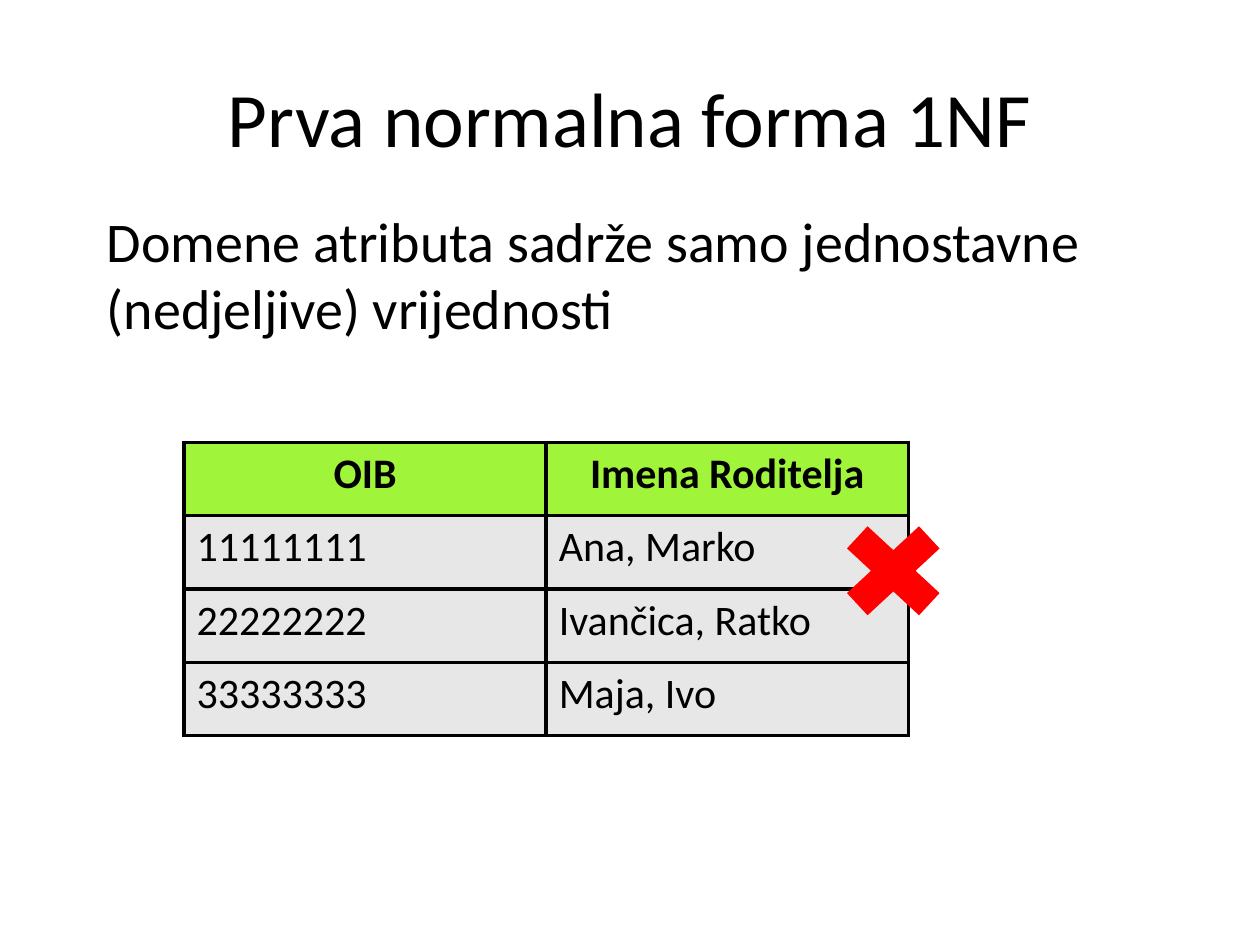
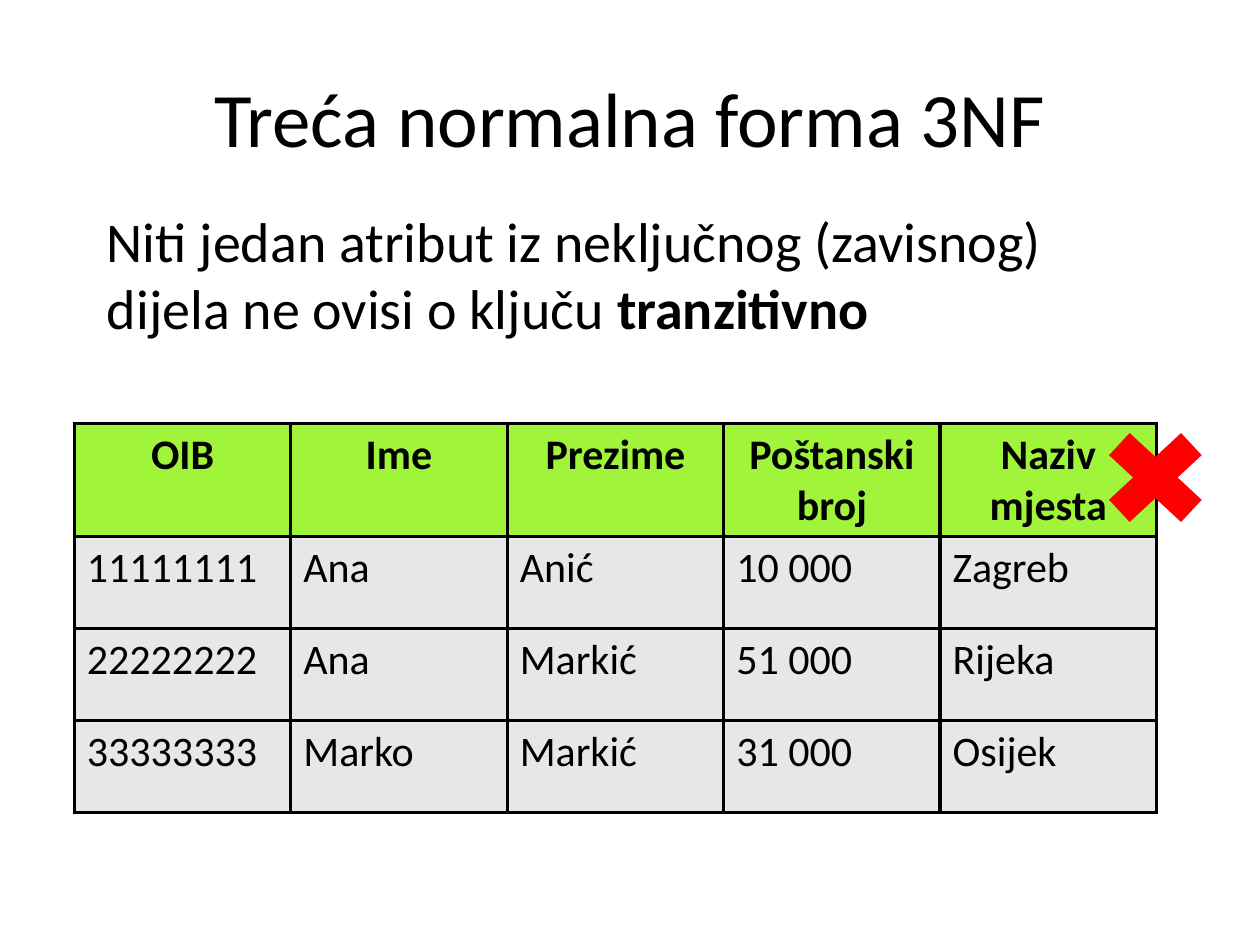
from dataclasses import dataclass

from lxml import etree
from pptx import Presentation
from pptx import util as u
from pptx.dml.color import RGBColor
from pptx.enum import shapes, text
from pptx.oxml import ns


@dataclass(frozen=True)
class Theme:
    font: str = "Calibri"
    ink: str = "000000"
    header: str = "A0F43A"
    body: str = "E7E7E7"
    error: str = "FF0000"
    title_size: int = 44
    text_size: int = 32
    table_size: int = 24
    border: float = 2.25


THEME = Theme()
COLS, ROWS = 40, 30


def write(tf, content, size, bold=False, align=text.PP_ALIGN.LEFT):
    p = tf.paragraphs[0]
    p.alignment = align
    r = p.add_run()
    r.text = content
    r.font.name = THEME.font
    r.font.size = u.Pt(size)
    r.font.bold = bold
    r.font.color.rgb = RGBColor.from_string(THEME.ink)


def paint(fill, color):
    fill.solid()
    fill.fore_color.rgb = RGBColor.from_string(color)


def outline(cell):
    tc_pr = cell._tc.get_or_add_tcPr()
    for side in ("lnL", "lnR", "lnT", "lnB"):
        ln = etree.SubElement(tc_pr, ns.qn(f"a:{side}"), w=str(u.Pt(THEME.border)))
        fill = etree.SubElement(ln, ns.qn("a:solidFill"))
        etree.SubElement(fill, ns.qn("a:srgbClr"), val=THEME.ink)


class Deck:
    def __init__(self):
        self.prs = Presentation()
        self.prs.slide_width, self.prs.slide_height = u.Inches(10), u.Inches(7.5)
        self.s = None

    def box(self, col, row, cols, rows):
        dx, dy = self.prs.slide_width / COLS, self.prs.slide_height / ROWS
        return [round(v) for v in (col * dx, row * dy, cols * dx, rows * dy)]

    def slide(self, title):
        self.s = self.prs.slides.add_slide(self.prs.slide_layouts[6])
        tf = self.text_frame(2, 1.2, 36, 5)
        tf.vertical_anchor = text.MSO_ANCHOR.MIDDLE
        write(tf, title, THEME.title_size, align=text.PP_ALIGN.CENTER)

    def text_frame(self, *place):
        tf = self.s.shapes.add_textbox(*self.box(*place)).text_frame
        tf.word_wrap = True
        return tf

    def rule(self, statement, emphasis=""):
        tf = self.text_frame(3, 6.36, 33.08, 4.72)
        write(tf, statement, THEME.text_size)
        if emphasis:
            write(tf, emphasis, THEME.text_size, bold=True)

    def table(self, records, *place):
        sp = self.s.shapes.add_table(len(records), len(records[0]), *self.box(*place))
        for i, record in enumerate(records):
            head = i == 0
            align = text.PP_ALIGN.CENTER if head else text.PP_ALIGN.LEFT
            for j, value in enumerate(record):
                cell = sp.table.cell(i, j)
                outline(cell)
                paint(cell.fill, THEME.header if head else THEME.body)
                write(cell.text_frame, value, THEME.table_size, bold=head, align=align)

    def cross(self, col, row):
        sp = self.s.shapes.add_shape(
            shapes.MSO_SHAPE.MATH_MULTIPLY, *self.box(col, row, 4.4, 4.08))
        sp.shadow.inherit = False
        paint(sp.fill, THEME.error)
        sp.line.fill.background()


def main():
    deck = Deck()

    deck.slide("Prva normalna forma 1NF")
    deck.rule("Domene atributa sadrže samo jednostavne (nedjeljive) vrijednosti")
    deck.table([
        ("OIB", "Imena Roditelja"),
        ("11111111", "Ana, Marko"),
        ("22222222", "Ivančica, Ratko"),
        ("33333333", "Maja, Ivo"),
    ], 5.84, 14.04, 23, 9.32)
    deck.cross(26.16, 16.08)

    deck.slide("Treća normalna forma 3NF")
    deck.rule("Niti jedan atribut iz neključnog (zavisnog) dijela ne ovisi o ključu ",
              emphasis="tranzitivno")
    deck.table([
        ("OIB", "Ime", "Prezime", "Poštanski broj", "Naziv mjesta"),
        ("11111111", "Ana", "Anić", "10 000", "Zagreb"),
        ("22222222", "Ana", "Markić", "51 000", "Rijeka"),
        ("33333333", "Marko", "Markić", "31 000", "Osijek"),
    ], 2.36, 13.44, 34.36, 11.68)
    deck.cross(34.48, 13.12)

    deck.prs.save("out.pptx")


if __name__ == "__main__":
    main()
